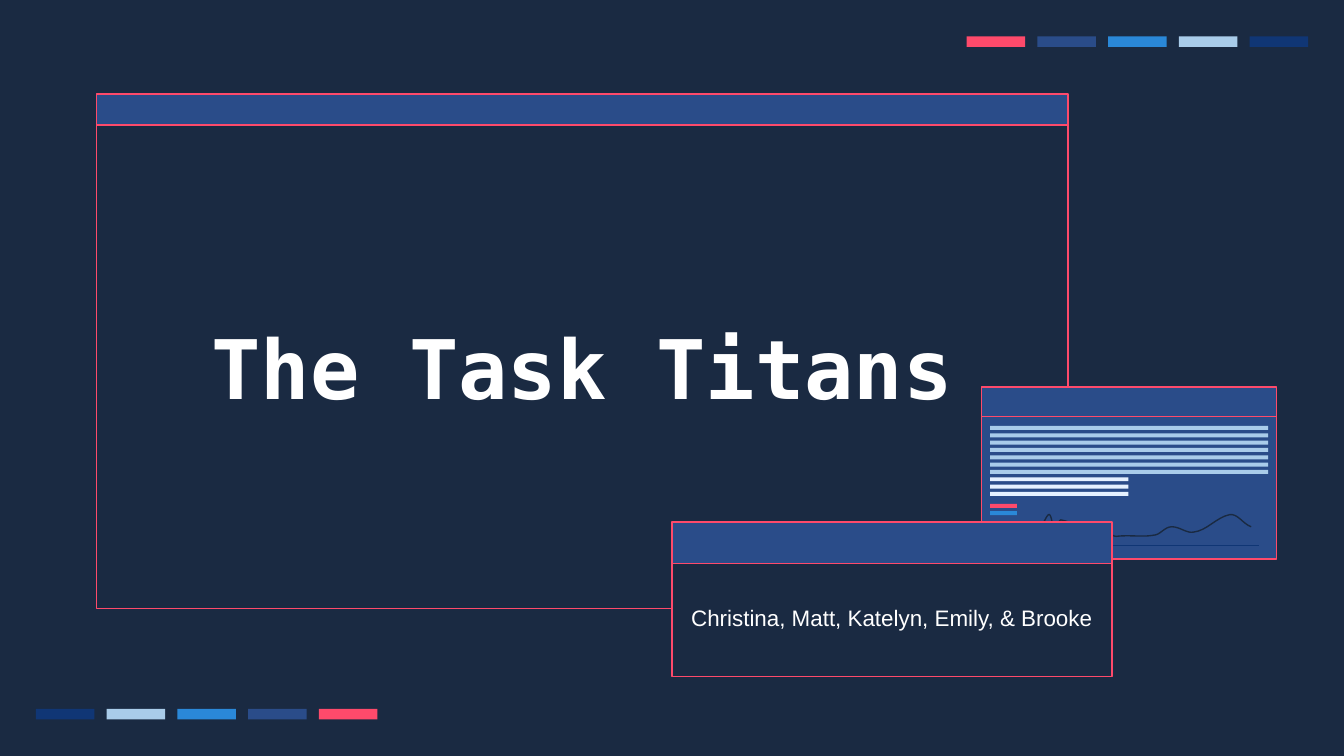
from lxml.etree import SubElement
from pptx import Presentation
from pptx.dml.color import RGBColor
from pptx.enum.shapes import MSO_CONNECTOR, MSO_SHAPE
from pptx.enum.text import MSO_ANCHOR, PP_ALIGN
from pptx.oxml.ns import qn
from pptx.util import Inches, Pt

COLS, ROWS = 1000, 562.5
NAVY = RGBColor(0x1A, 0x2A, 0x42)
PINK = RGBColor(0xFE, 0x4A, 0x6B)
BLUE = RGBColor(0x2A, 0x4C, 0x89)
BRIGHT = RGBColor(0x2A, 0x88, 0xD8)
SKY = RGBColor(0xA9, 0xCC, 0xEA)
DEEP = RGBColor(0x10, 0x36, 0x75)
PALE = RGBColor(0xE5, 0xF1, 0xFF)
WHITE = RGBColor(0xFF, 0xFF, 0xFF)
PALETTE = [PINK, BLUE, BRIGHT, SKY, DEEP]
TEXT_LINES = [(207, SKY)] * 7 + [(103, PALE)] * 3
LEGEND_LINES = [(20, PINK), (20, BRIGHT)]
WAVE_START = (771, 400)
WAVE = [
    ((773, 395), (775, 391), (777, 388)),
    ((778, 386), (780, 382), (781, 383)),
    ((783, 385), (782, 390), (785, 391)),
    ((787, 392), (788, 386), (790, 387)),
    ((798, 389), (806, 392), (814, 395)),
    ((817, 396), (820, 393), (822, 394)),
    ((825, 396), (828, 400), (832, 399)),
    ((841, 398), (851, 400), (860, 398)),
    ((864, 397), (867, 392), (872, 392)),
    ((878, 392), (883, 397), (888, 396)),
    ((898, 395), (905, 385), (915, 383)),
    ((921, 382), (925, 390), (931, 392)),
]


def grid(n):
    """Turn grid columns or rows into a length."""
    return Inches(n * 10 / COLS)


def add_box(s, x, y, w, h, fill, line=None):
    """Add a flat rectangle placed on the grid."""
    sp = s.shapes.add_shape(MSO_SHAPE.RECTANGLE, *map(grid, (x, y, w, h)))
    sp.shadow.inherit = False
    sp.fill.solid()
    sp.fill.fore_color.rgb = fill
    if line is None:
        sp.line.fill.background()
    else:
        sp.line.color.rgb = line
        sp.line.width = Pt(0.75)
    return sp


def add_text(sp, text, font, size, bold=False):
    """Write one centred line of text in a shape."""
    tf = sp.text_frame
    tf.word_wrap = True
    tf.vertical_anchor = MSO_ANCHOR.MIDDLE
    tf.margin_left = tf.margin_right = tf.margin_top = tf.margin_bottom = Inches(0.1)
    tf.text = text
    p = tf.paragraphs[0]
    p.alignment = PP_ALIGN.CENTER
    r = p.runs[0]
    r.font.name, r.font.size, r.font.bold = font, Pt(size), bold
    r.font.color.rgb = WHITE


def add_rule(s, x, y, w, color):
    """Add a thin horizontal line."""
    c = s.shapes.add_connector(
        MSO_CONNECTOR.STRAIGHT, grid(x), grid(y), grid(x + w), grid(y))
    c.line.color.rgb = color
    c.line.width = Pt(0.75)
    SubElement(c._element.spPr, qn("a:effectLst"))


def add_dashes(s, x, y, colors):
    """Add a row of evenly spaced colour dashes."""
    for i, color in enumerate(colors):
        add_box(s, x + i * 52.65, y, 43.5, 8, color)


def add_lines(s, x, y, lines):
    """Stack thin bars that stand for lines of writing."""
    for i, (w, color) in enumerate(lines):
        add_box(s, x, y + i * 5.45, w, 3, color)


def curve_points(start, segments, steps=8):
    """Sample points along a chain of cubic Bezier segments."""
    points = []
    for a, b, end in segments:
        for i in range(1, steps + 1):
            t = i / steps
            u = 1 - t
            points.append(tuple(
                grid(u**3 * p + 3 * u * u * t * q + 3 * u * t * t * v + t**3 * w)
                for p, q, v, w in zip(start, a, b, end)))
        start = end
    return points


def add_wave(s):
    """Draw the wavy graph line."""
    fb = s.shapes.build_freeform(*map(grid, WAVE_START))
    fb.add_line_segments(curve_points(WAVE_START, WAVE), close=False)
    sp = fb.convert_to_shape()
    sp.shadow.inherit = False
    sp.fill.background()
    sp.line.color.rgb = NAVY
    sp.line.width = Pt(0.75)


def add_mini_window(s):
    """Draw the small window with writing and a graph."""
    add_box(s, 730.5, 288, 219.5, 128, BLUE, PINK)
    add_wave(s)
    add_rule(s, 767, 406, 170, DEEP)
    add_rule(s, 730.5, 310, 219.5, PINK)
    add_lines(s, 736.7, 317, TEXT_LINES)
    add_lines(s, 736.7, 375, LEGEND_LINES)


def main():
    """Build and save the title slide."""
    prs = Presentation()
    prs.slide_width, prs.slide_height = grid(COLS), grid(ROWS)
    s = prs.slides.add_slide(prs.slide_layouts[6])
    s.background.fill.solid()
    s.background.fill.fore_color.rgb = NAVY
    add_dashes(s, 719.2, 27, PALETTE)
    add_dashes(s, 26.7, 527.4, PALETTE[::-1])
    title = add_box(s, 72, 93, 722.7, 360, NAVY, PINK)
    add_text(title, "The Task Titans", "DejaVu Sans Mono", 44, bold=True)
    add_mini_window(s)
    names = add_box(s, 500, 416.3, 327.4, 87, NAVY, PINK)
    add_text(names, "Christina, Matt, Katelyn, Emily, & Brooke", "Arial", 12)
    add_box(s, 500, 388.4, 327.4, 31, BLUE, PINK)
    add_box(s, 72, 70, 722.7, 23, BLUE, PINK)
    prs.save("out.pptx")


if __name__ == "__main__":
    main()
